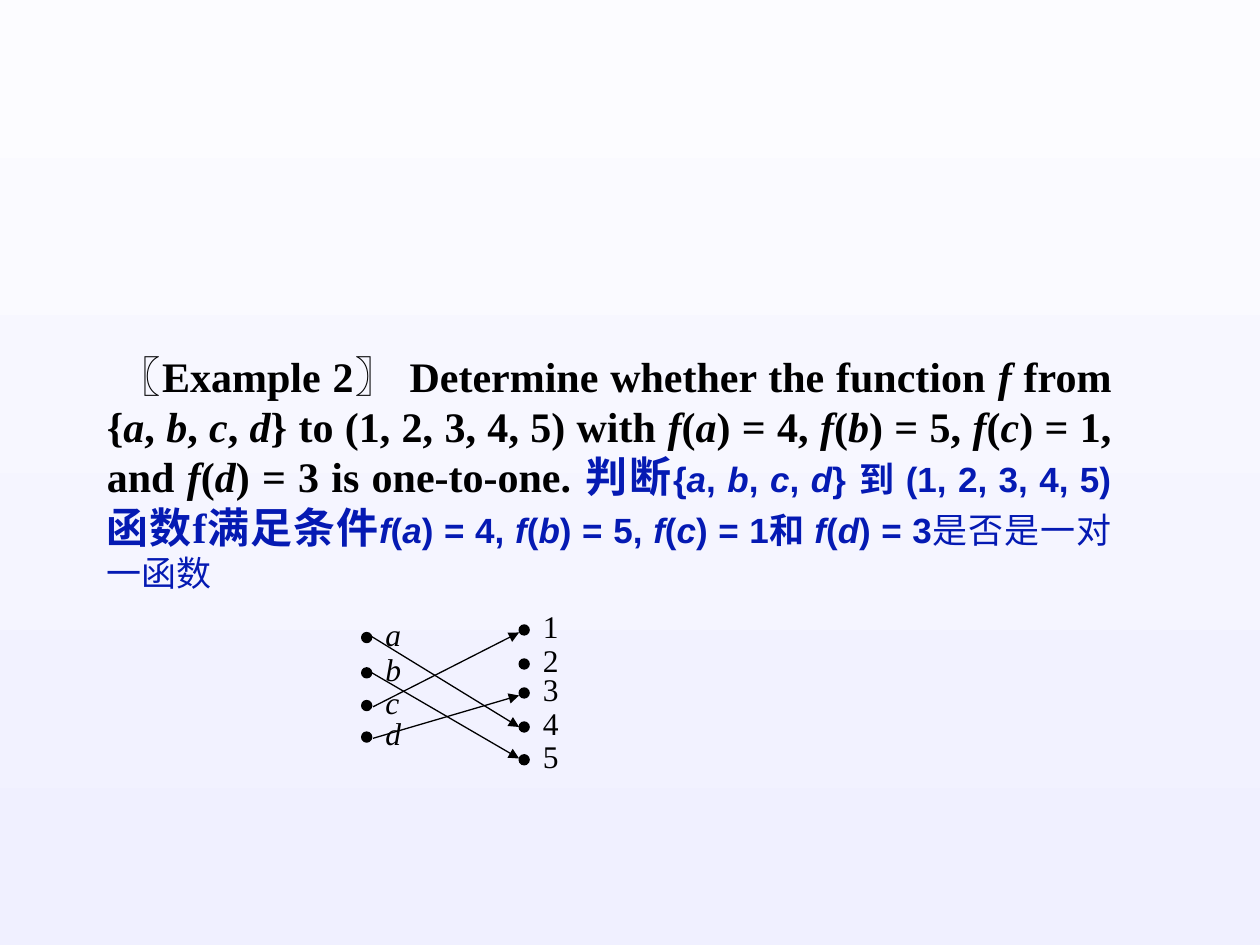
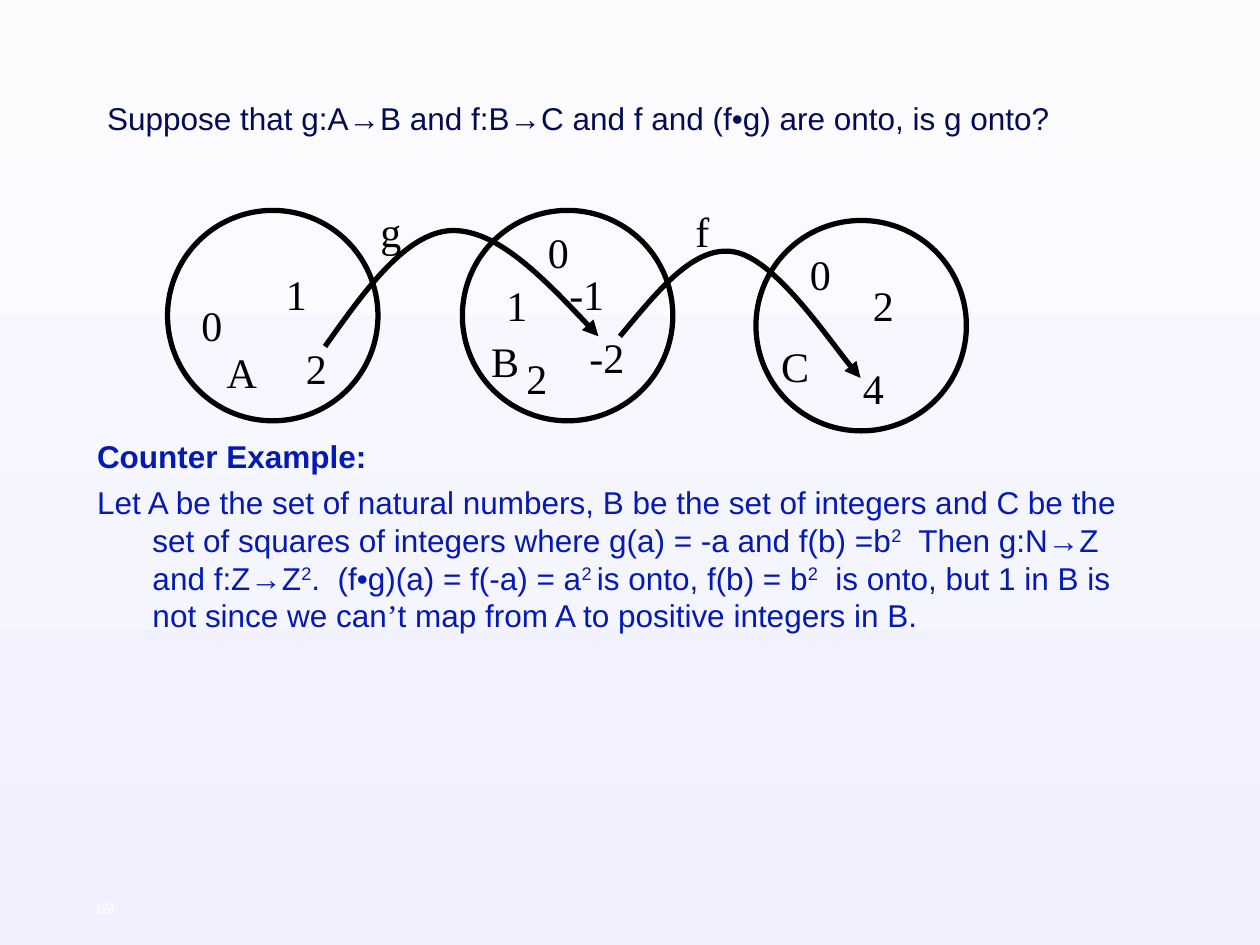
from pptx import Presentation
from pptx import util as u
from pptx.dml.color import RGBColor
from pptx.enum import shapes, text
from pptx.oxml.ns import qn
from lxml import etree

COLORS = {
    "ink": "000000",
    "title": "020C56",
    "body": "051AB3",
    "number": "FFFFFF",
    "top": "FCFCFF",
    "bottom": "F0F0FF",
}
SERIF, SANS, CJK = "Times New Roman", "Arial", "Noto Sans CJK SC"


def rgb(name):
    return RGBColor.from_string(COLORS[name])


def set_background(master):
    fill = master.background.fill
    fill.gradient()
    fill.gradient_angle = 270
    for stop, name, position in zip(fill.gradient_stops, ("top", "bottom"), (0, 1)):
        stop.color.rgb = rgb(name)
        stop.position = position


def add_run(p, words, size, font=SERIF, color="ink", bold=False, italic=False):
    r = p.add_run()
    r.text = words
    r.font.size = u.Pt(size)
    r.font.bold = bold
    r.font.italic = italic
    r.font.color.rgb = rgb(color)
    r.font.name = font
    etree.SubElement(r.font._element, qn("a:ea"), typeface=CJK)
    return r


def add_italic_runs(p, marked, *style):
    for i, words in enumerate(marked.split("*")):
        if words:
            add_run(p, words, *style, italic=i % 2 == 1)


def add_superscript_runs(p, marked, *style):
    for i, words in enumerate(marked.split("^")):
        r = add_run(p, words, *style)
        if i % 2:
            r.font._element.set("baseline", "30000")


def add_box(parent, x, y, w, h, wrap=True):
    tf = parent.shapes.add_textbox(*map(u.Inches, (x, y, w, h))).text_frame
    tf.word_wrap = wrap
    tf.auto_size = text.MSO_AUTO_SIZE.SHAPE_TO_FIT_TEXT
    return tf.paragraphs[0]


def add_label(parent, words, x, y, w=0.5, h=0.5, size=24, italic=False, wrap=True):
    add_run(add_box(parent, x, y, w, h, wrap), words, size, italic=italic)


def set_outline(sp, width):
    sp.line.color.rgb = rgb("ink")
    sp.line.width = u.Pt(width)


def add_circle(parent, x, y, size, width, filled=False):
    sp = parent.shapes.add_shape(
        shapes.MSO_SHAPE.OVAL, *map(u.Inches, (x, y, size, size)))
    sp.shadow.inherit = False
    if filled:
        sp.fill.solid()
        sp.fill.fore_color.rgb = rgb("ink")
    else:
        sp.fill.background()
    set_outline(sp, width)


def add_arrowhead(sp):
    ln = sp._element.spPr.find(qn("a:ln"))
    etree.SubElement(ln, qn("a:tailEnd"), type="triangle")


def add_arrow(parent, x1, y1, x2, y2):
    line = parent.shapes.add_connector(
        shapes.MSO_CONNECTOR.STRAIGHT, *map(u.Inches, (x1, y1, x2, y2)))
    set_outline(line, 0.75)
    add_arrowhead(line)
    etree.SubElement(line._element.spPr, qn("a:effectLst"))


def add_curved_arrow(parent, points):
    start, *controls = [tuple(map(u.Inches, point)) for point in points]
    builder = parent.shapes.build_freeform(*start)
    builder.add_line_segments(controls, close=False)
    sp = builder.convert_to_shape()
    segments = list(sp._element.iter(qn("a:lnTo")))
    for i in range(0, len(segments), 3):
        curve = etree.Element(qn("a:cubicBezTo"))
        segments[i].addprevious(curve)
        for segment in segments[i:i + 3]:
            curve.append(segment[0])
            segment.getparent().remove(segment)
    sp.shadow.inherit = False
    sp.fill.background()
    set_outline(sp, 3)
    add_arrowhead(sp)


def place(sp, x, y, w, h):
    sp.left, sp.top, sp.width, sp.height = map(u.Inches, (x, y, w, h))
    sp.text_frame.word_wrap = True
    sp.text_frame.auto_size = text.MSO_AUTO_SIZE.NONE
    return sp.text_frame


def format_hanging(p):
    pPr = p._p.get_or_add_pPr()
    pPr.set("marL", str(u.Inches(0.44)))
    pPr.set("indent", str(u.Inches(-0.44)))
    etree.SubElement(pPr, qn("a:buNone"))
    p.space_before = u.Pt(0)
    p.space_after = u.Pt(4.5)


def add_dots(group, x, names, tops, italic=False):
    for name, y in zip(names, tops):
        add_circle(group, x, y, 0.08, 0.75, filled=True)
        add_label(group, name, x + 0.09, y - 0.19, 0.42, 0.4, 18, italic)


def build_one_to_one(prs):
    s = prs.slides.add_slide(prs.slide_layouts[6])
    p = add_box(s, 0.75, 2.73, 8.17, 2.04)
    p.alignment = text.PP_ALIGN.JUSTIFY
    english = (24, SERIF, "ink", True)
    heading = (24, CJK, "ink", True)
    chinese = (20, SANS, "body", True)
    add_run(p, " ", 22, SERIF, "ink", True)
    add_run(p, "〖", *heading)
    add_run(p, "Example 2", *english)
    add_run(p, "〗 ", *heading)
    add_italic_runs(
        p, "Determine whether the function *f* from {*a*, *b*, *c*, *d*} to "
        "(1, 2, 3, 4, 5) with *f*(*a*) = 4, *f*(*b*) = 5, *f*(*c*) = 1, "
        "and *f*(*d*) = 3 is one-to-one. ", *english)
    add_run(p, "判断", 24, SERIF, "body", True)
    add_italic_runs(p, "{*a*, *b*, *c*, *d*} 到 (1, 2, 3, 4, 5)", *chinese)
    add_run(p, "函数f满足条件", 24, SERIF, "body", True)
    add_italic_runs(
        p, "*f*(*a*) = 4, *f*(*b*) = 5, *f*(*c*) = 1和 *f*(*d*) = 3", *chinese)
    add_run(p, "是否是一对一函数", 20, SANS, "body")

    mapping = s.shapes.add_group_shape()
    add_dots(mapping, 2.87, "abcd", (5.02, 5.3, 5.56, 5.81), italic=True)
    add_dots(mapping, 4.12, "12345", (4.96, 5.23, 5.46, 5.73, 5.99))
    for x, y, end_y in ((2.93, 5.04, 5.77), (2.9, 5.31, 6.02),
                        (2.96, 5.61, 5.02), (2.96, 5.86, 5.52)):
        add_arrow(mapping, x, y, 4.12, end_y)


def build_onto(prs):
    s = prs.slides.add_slide(prs.slide_layouts[1])
    tf = place(s.shapes.title, 0.75, 0.33, 8.5, 1.25)
    tf.vertical_anchor = text.MSO_ANCHOR.MIDDLE
    p = tf.paragraphs[0]
    p.alignment = text.PP_ALIGN.LEFT
    p.line_spacing = 0.9
    add_run(p, "Suppose that g:A→B and f:B→C and f and (f•g) are onto, is g onto?",
            18, SANS, "title")

    tf = place(s.placeholders[1], 0.67, 3.42, 8.5, 4.5)
    p = tf.paragraphs[0]
    format_hanging(p)
    add_run(p, "Counter Example:", 18, SANS, "body", True)
    p = tf.add_paragraph()
    format_hanging(p)
    style = (18, SANS, "body")
    add_superscript_runs(
        p, "Let A be the set of natural numbers, B be the set of integers and C "
        "be the set of squares of integers where g(a) = -a and f(b) =b^2^  Then "
        "g:N→Z and f:Z→Z^2^.  (f•g)(a) = f(-a) = a^2 ^is onto, f(b) = b^2^  is "
        "onto, but 1 in B is not since we can", *style)
    add_run(p, "’", 18, SERIF, "body")
    add_run(p, "t map from A to positive integers in B.", *style)

    diagram = s.shapes.add_group_shape()
    for x, y in ((1.33, 1.67), (3.67, 1.67), (6, 1.75)):
        add_circle(diagram, x, y, 1.67, 3)
    for words, x, y in (
            ("0", 6.33, 1.92), ("2", 6.83, 2.17), ("4", 6.75, 2.83),
            ("0", 4.25, 1.75), ("-1", 4.42, 2.08), ("-2", 4.58, 2.58),
            ("1", 3.92, 2.17), ("2", 4.08, 2.75),
            ("1", 2.17, 2.08), ("2", 2.33, 2.67), ("0", 1.5, 2.33),
            ("g", 2.92, 1.58), ("f", 5.42, 1.58)):
        add_label(diagram, words, x, y)
    add_curved_arrow(diagram, [(2.58, 2.75), (2.9, 2.3), (3.22, 1.85), (3.58, 1.83),
                               (3.94, 1.82), (4.35, 2.24), (4.75, 2.67)])
    add_curved_arrow(diagram, [(4.92, 2.67), (5.22, 2.31), (5.51, 1.94), (5.83, 2),
                               (6.15, 2.06), (6.67, 2.83), (6.83, 3)])
    for name, x, y in (("A", 1.7, 2.7), ("B", 3.8, 2.61), ("C", 6.1, 2.65)):
        add_label(s, name, x, y, 0.42, wrap=False)
    add_run(add_box(s, 0.67, 7.08, 0.6, 0.25), "69", 9, SANS, "number")


def main():
    prs = Presentation()
    prs.slide_width, prs.slide_height = u.Inches(10), u.Inches(7.5)
    set_background(prs.slide_master)
    build_one_to_one(prs)
    build_onto(prs)
    prs.save("out.pptx")


if __name__ == "__main__":
    main()
